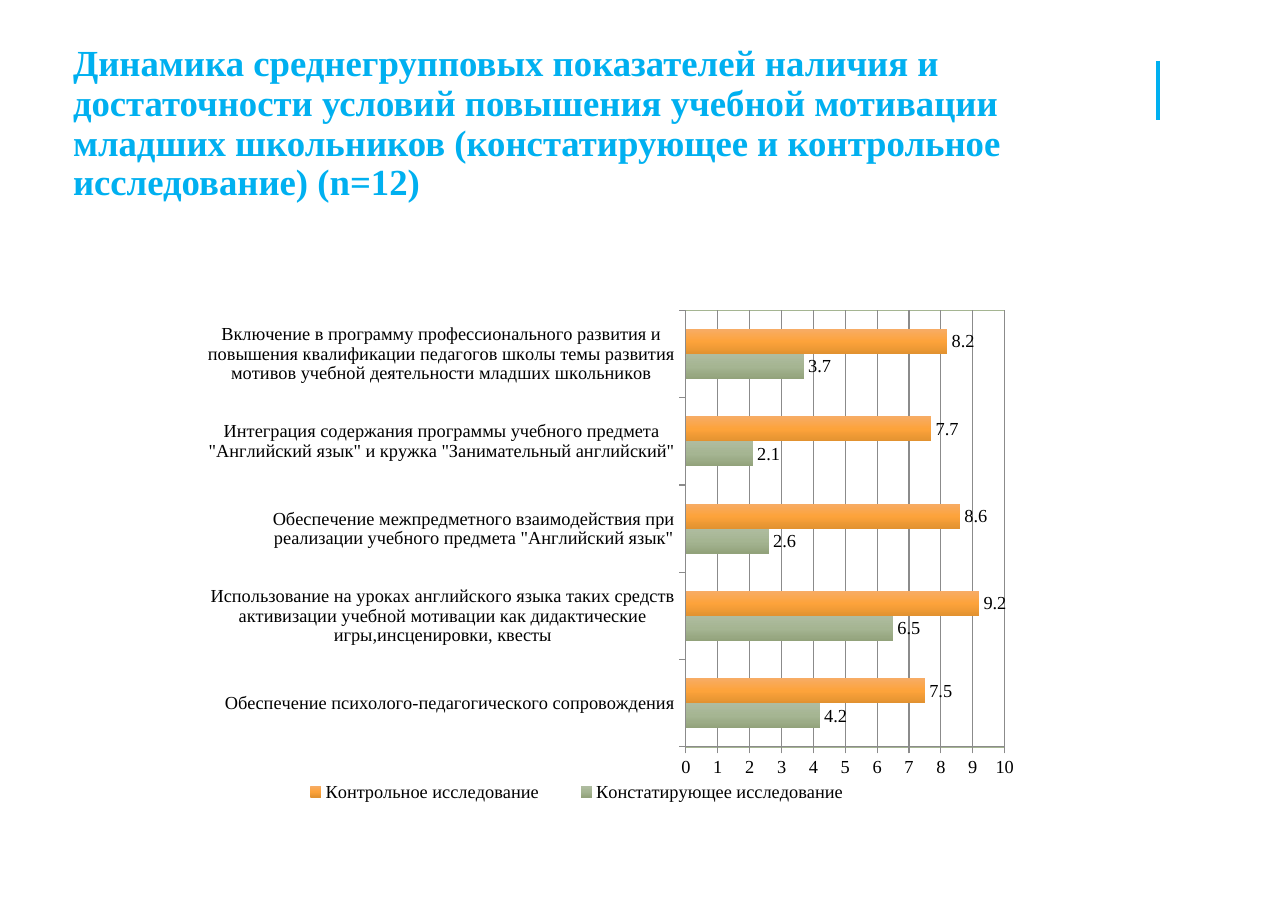
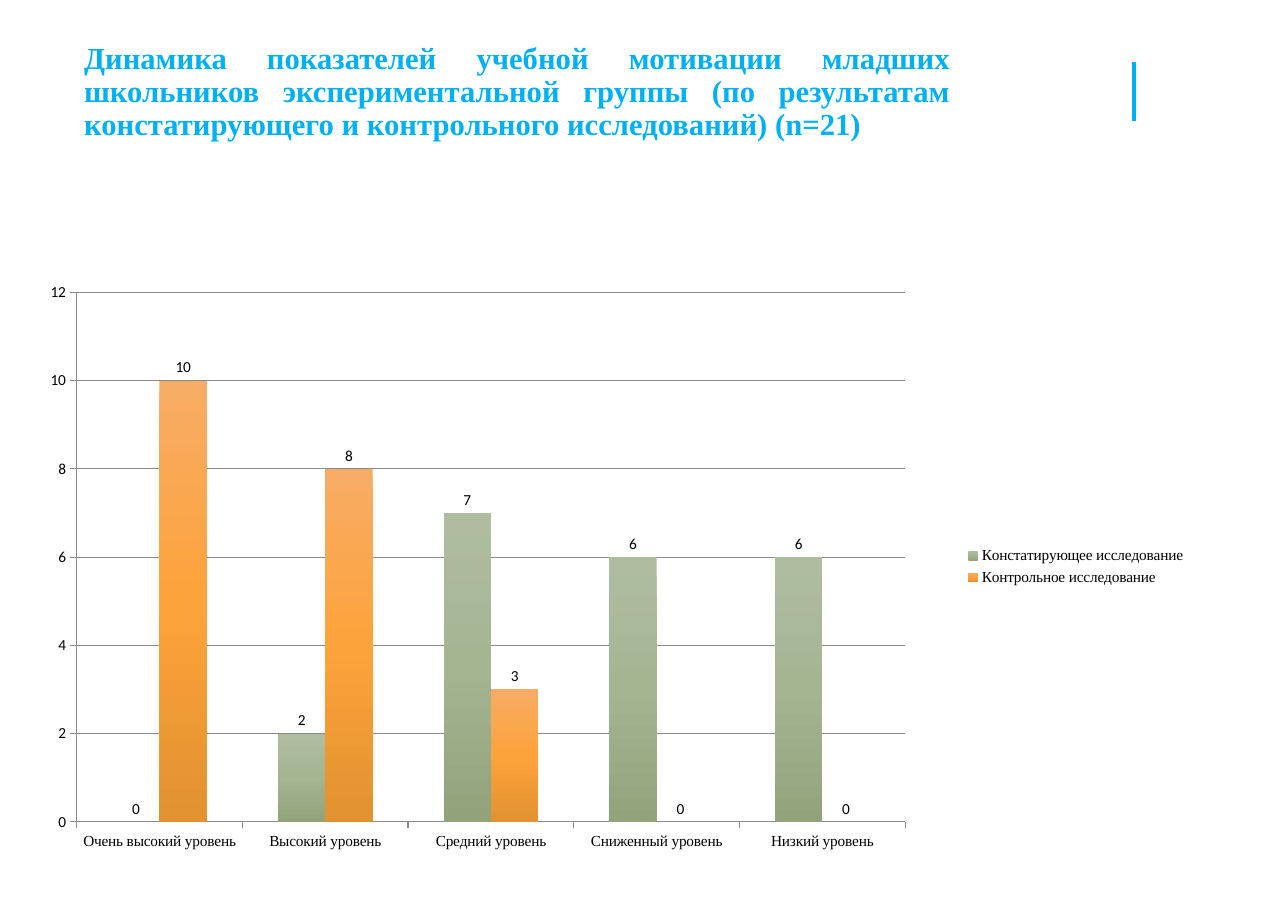
import copy

from pptx import Presentation
from pptx import util as u
from pptx.chart import data as chart_data
from pptx.dml.color import RGBColor
from pptx.enum import chart as ch
from pptx.enum import shapes, text
from pptx.oxml import parse_xml
from pptx.oxml.ns import nsdecls, qn
from pptx.oxml.xmlchemy import OxmlElement

EMU_PER_PX = 914400 / 110.2
SLIDE_SIZE = (1288, 911)
TITLE_ONLY = 5

ACCENT = RGBColor(0x00, 0xB0, 0xF0)
INK = RGBColor(0x00, 0x00, 0x00)
AXIS_GREY = RGBColor(0x8B, 0x8B, 0x8B)
GREEN = RGBColor(0xA5, 0xB5, 0x92)
GREEN_SHADES = (RGBColor(0xAF, 0xBC, 0xA0), GREEN, RGBColor(0x92, 0xA2, 0x7B))
ORANGE_SHADES = (
    RGBColor(0xF7, 0xAC, 0x65),
    RGBColor(0xFD, 0xA3, 0x3B),
    RGBColor(0xE2, 0x92, 0x30),
)

SERIF = "Times New Roman"
SANS = "Calibri"

BASELINE = "Констатирующее исследование"
CONTROL = "Контрольное исследование"
SHADES = {BASELINE: GREEN_SHADES, CONTROL: ORANGE_SHADES}


def px(length):
    return u.Emu(round(length * EMU_PER_PX))


def set_layout(parent, index, box, inner=False):
    for old in parent.findall(qn("c:layout")):
        parent.remove(old)
    layout = OxmlElement("c:layout")
    manual = OxmlElement("c:manualLayout")
    layout.append(manual)
    settings = [("layoutTarget", "inner")] if inner else []
    settings += [("xMode", "edge"), ("yMode", "edge")]
    settings += zip("xywh", box)
    for tag, value in settings:
        setting = OxmlElement(f"c:{tag}")
        setting.set("val", str(value))
        manual.append(setting)
    parent.insert(index, layout)


class Deck:
    def __init__(self):
        self.prs = Presentation()
        self.prs.slide_width, self.prs.slide_height = map(px, SLIDE_SIZE)
        self.slide = None

    def new_slide(self):
        layout = self.prs.slide_layouts[TITLE_ONLY]
        self.slide = self.prs.slides.add_slide(layout)

    def title(self, wording, box, size, alignment=text.PP_ALIGN.LEFT):
        heading = self.slide.shapes.title
        heading.left, heading.top, heading.width, heading.height = map(px, box)
        frame = heading.text_frame
        frame.word_wrap = True
        frame.auto_size = text.MSO_AUTO_SIZE.NONE
        frame.vertical_anchor = text.MSO_ANCHOR.TOP
        frame.margin_left = frame.margin_right = px(12)
        frame.margin_top = frame.margin_bottom = px(6)
        paragraph = frame.paragraphs[0]
        paragraph.alignment = alignment
        paragraph.line_spacing = 0.9
        paragraph.space_before = u.Pt(0)
        run = paragraph.add_run()
        run.text = wording
        run.font.name = SERIF
        run.font.size = u.Pt(size)
        run.font.bold = True
        run.font.color.rgb = ACCENT

    def accent_line(self, x, top, bottom):
        line = self.slide.shapes.add_connector(
            shapes.MSO_CONNECTOR.STRAIGHT, px(x), px(top), px(x), px(bottom)
        )
        line.line.color.rgb = ACCENT
        line.line.width = u.Pt(2.25)
        line._element.spPr.append(OxmlElement("a:effectLst"))

    def chart(self, kind, box, categories, results, size, font, top_value, step,
              legend_side, plot_box):
        data = chart_data.CategoryChartData()
        data.categories = categories
        for name, values in results.items():
            data.add_series(name, values)
        chart = self.slide.shapes.add_chart(kind, *map(px, box), data).chart
        chart.has_title = False
        self.style_font(chart.font, size, font)
        self.style_axes(chart, size, top_value, step)
        self.style_series(chart.plots[0])
        chart.has_legend = True
        chart.legend.position = legend_side
        chart.legend.include_in_layout = False
        self.style_font(chart.legend.font, size, SERIF)
        plot_area = chart._chartSpace.chart.plotArea
        set_layout(plot_area, 0, plot_box, inner=True)
        return chart

    def style_font(self, font, size, name):
        font.size = u.Pt(size)
        font.name = name
        font.color.rgb = INK

    def style_axes(self, chart, size, top_value, step):
        values = chart.value_axis
        values.minimum_scale = 0
        values.maximum_scale = top_value
        values.major_unit = step
        values.has_major_gridlines = True
        self.style_font(chart.category_axis.tick_labels.font, size, SERIF)
        for axis in (values, chart.category_axis):
            axis.major_tick_mark = ch.XL_TICK_MARK.OUTSIDE
            axis.minor_tick_mark = ch.XL_TICK_MARK.NONE
        for part in (values, chart.category_axis, values.major_gridlines):
            part.format.line.color.rgb = AXIS_GREY
            part.format.line.width = u.Pt(0.75)

    def style_series(self, plot):
        plot.gap_width = 150
        plot.overlap = 0
        plot.vary_by_categories = False
        plot.has_data_labels = True
        plot.data_labels.show_value = True
        plot.data_labels.position = ch.XL_LABEL_POSITION.OUTSIDE_END
        for series in plot.series:
            series.invert_if_negative = False
            fill = series.format.fill
            fill.gradient()
            fill.gradient_angle = 270
            stops = next(series._element.iter(qn("a:gsLst")))
            stops.insert(1, copy.deepcopy(stops[0]))
            shades = SHADES[series.name]
            for stop, shade, position in zip(fill.gradient_stops, shades, (0, 0.5, 1)):
                stop.color.rgb = shade
                stop.position = position

    def place_legend(self, chart, box):
        set_layout(chart.legend._element, 1, box)

    def plot_border(self, chart, colour):
        chart._chartSpace.chart.plotArea.append(parse_xml(
            f'<c:spPr {nsdecls("c", "a")}><a:noFill/><a:ln w="9525"><a:solidFill>'
            f'<a:srgbClr val="{colour}"/></a:solidFill></a:ln></c:spPr>'
        ))


def conditions_slide(deck):
    deck.new_slide()
    deck.title(
        "Динамика среднегрупповых показателей наличия и достаточности условий "
        "повышения учебной мотивации младших школьников (констатирующее и "
        "контрольное исследование) (n=12)",
        (61, 39, 958, 199), 24,
    )
    conditions = [
        "Обеспечение психолого-педагогического сопровождения",
        "Использование на уроках английского языка таких средств активизации "
        "учебной мотивации как дидактические игры,инсценировки, квесты",
        "Обеспечение межпредметного взаимодействия при реализации учебного "
        'предмета "Английский язык"',
        'Интеграция содержания программы учебного предмета "Английский язык" '
        'и кружка "Занимательный английский"',
        "Включение в программу профессионального развития и повышения "
        "квалификации педагогов школы темы развития мотивов учебной "
        "деятельности младших школьников",
    ]
    scores = {BASELINE: (4.2, 6.5, 2.6, 2.1, 3.7), CONTROL: (7.5, 9.2, 8.6, 7.7, 8.2)}
    chart = deck.chart(
        ch.XL_CHART_TYPE.BAR_CLUSTERED, (191, 300, 839, 526), conditions, scores,
        size=12, font=SERIF, top_value=10, step=1,
        legend_side=ch.XL_LEGEND_POSITION.BOTTOM,
        plot_box=(0.59, 0.02, 0.38, 0.83),
    )
    deck.place_legend(chart, (0.1, 0.91, 0.72, 0.05))
    deck.plot_border(chart, GREEN)
    deck.accent_line(1158, 61, 120)


def motivation_slide(deck):
    deck.new_slide()
    deck.title(
        "Динамика показателей учебной мотивации младших школьников "
        "экспериментальной группы (по результатам констатирующего и "
        "контрольного исследований) (n=21)",
        (72, 37, 890, 199), 20, text.PP_ALIGN.JUSTIFY,
    )
    grades = ("Очень высокий", "Высокий", "Средний", "Сниженный", "Низкий")
    levels = [f"{grade} уровень" for grade in grades]
    pupils = {BASELINE: (0, 2, 7, 6, 6), CONTROL: (10, 8, 3, 0, 0)}
    deck.chart(
        ch.XL_CHART_TYPE.COLUMN_CLUSTERED, (30, 255, 1167, 623), levels, pupils,
        size=10, font=SANS, top_value=12, step=2,
        legend_side=ch.XL_LEGEND_POSITION.RIGHT,
        plot_box=(0.04, 0.06, 0.71, 0.85),
    )
    deck.accent_line(1134, 62, 121)


def main():
    deck = Deck()
    conditions_slide(deck)
    motivation_slide(deck)
    deck.prs.save("out.pptx")


if __name__ == "__main__":
    main()
